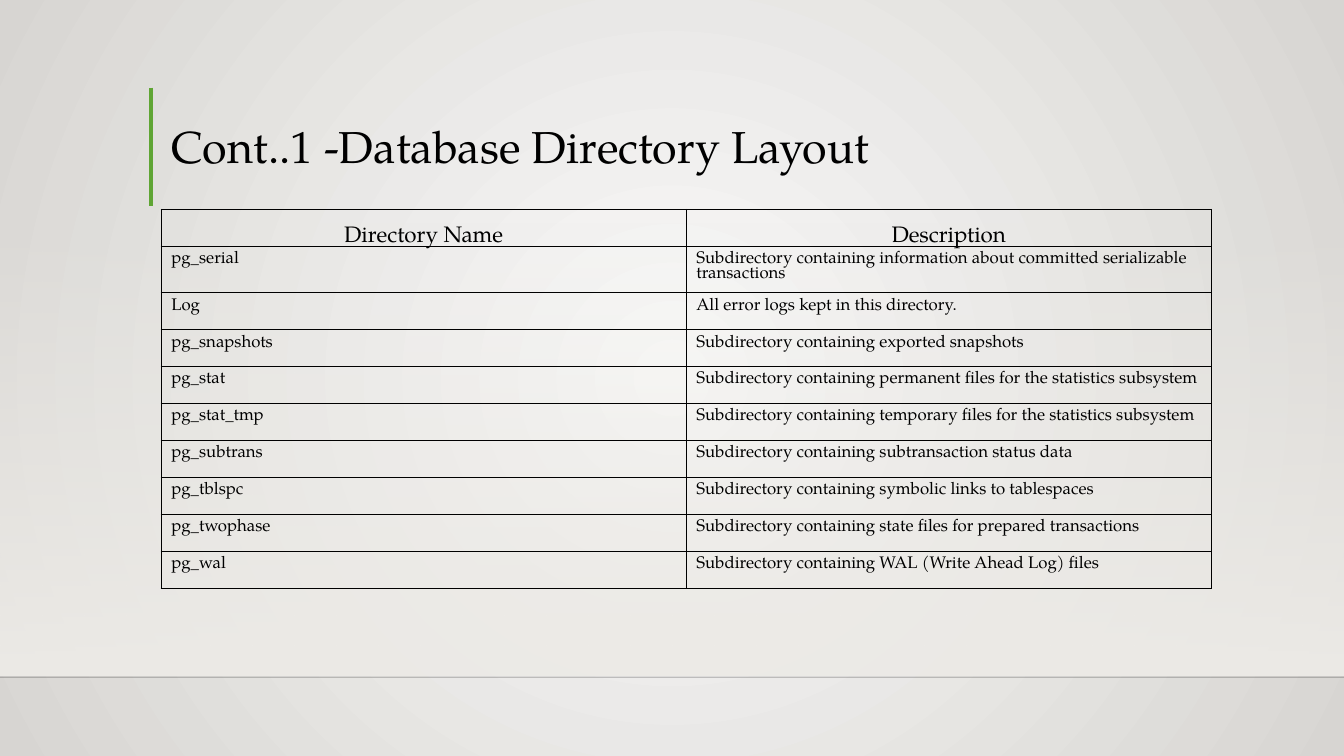
from lxml.etree import SubElement
from pptx import Presentation
from pptx.dml.color import RGBColor
from pptx.enum.shapes import MSO_CONNECTOR as Connector, MSO_SHAPE as Shape
from pptx.enum.text import MSO_ANCHOR as Anchor, PP_ALIGN as Align
from pptx.oxml.ns import qn
from pptx.util import Pt

FONT = "TeX Gyre Pagella"
BLACK = RGBColor(0, 0, 0)
GREEN = RGBColor(0x5F, 0xA5, 0x34)
CENTRE = RGBColor(0xFA, 0xFA, 0xF9)
EDGE = RGBColor(0xD7, 0xD5, 0xD2)
WALL = RGBColor(0xED, 0xEB, 0xE7)
WIDTH, HEIGHT = 960, 540
ROW_HEIGHT, COLUMN_WIDTH = 26.4, 375

HEADINGS = ("Directory Name", "Description")
DIRECTORIES = [
    ("pg_serial", "Subdirectory containing information about committed serializable transactions"),
    ("Log", "All error logs kept in this directory."),
    ("pg_snapshots", "Subdirectory containing exported snapshots"),
    ("pg_stat", "Subdirectory containing permanent files for the statistics subsystem"),
    ("pg_stat_tmp", "Subdirectory containing temporary files for the statistics subsystem"),
    ("pg_subtrans", "Subdirectory containing subtransaction status data"),
    ("pg_tblspc", "Subdirectory containing symbolic links to tablespaces"),
    ("pg_twophase", "Subdirectory containing state files for prepared transactions"),
    ("pg_wal", "Subdirectory containing WAL (Write Ahead Log) files"),
]


def set_gradient(fill, start, end):
    """Give a fill a two-colour gradient."""
    fill.gradient()
    for stop, color in zip(fill.gradient_stops, (start, end)):
        stop.color.rgb = color


def set_alpha(element, percent):
    """Set the opacity of the first RGB colour inside an element."""
    color = next(element.iter(qn("a:srgbClr")))
    SubElement(color, qn("a:alpha"), val=str(percent * 1000))


def paint_background(slide):
    """Paint a circular gradient that is lightest in the middle."""
    set_gradient(slide.background.fill, CENTRE, EDGE)
    gradient = next(slide.background._cSld.iter(qn("a:gradFill")))
    gradient.remove(gradient.find(qn("a:lin")))
    circle = SubElement(gradient, qn("a:path"), path="circle")
    SubElement(circle, qn("a:fillToRect"), l="50000", t="50000", r="50000", b="50000")


def add_wall(slide):
    """Add the band that fades in towards the floor line."""
    wall = slide.shapes.add_shape(Shape.RECTANGLE, 0, Pt(158.4), Pt(WIDTH), Pt(324))
    wall.shadow.inherit = False
    wall.line.fill.background()
    set_gradient(wall.fill, WALL, WALL)
    wall.fill.gradient_angle = 270
    set_alpha(wall._element.spPr, 0)


def add_line(slide, start, end, color, width, opacity=100):
    """Add a straight line without a shadow."""
    line = slide.shapes.add_connector(Connector.STRAIGHT, *map(Pt, start + end))
    line.line.color.rgb = color
    line.line.width = Pt(width)
    if opacity < 100:
        set_alpha(line._element.spPr, opacity)
    SubElement(line._element.spPr, qn("a:effectLst"))


def style_text(paragraph, text, size, align=Align.LEFT):
    """Write a paragraph in the slide's typeface."""
    paragraph.text = text
    paragraph.alignment = align
    paragraph.line_spacing = 0.9
    paragraph.font.name = FONT
    paragraph.font.size = Pt(size)
    paragraph.font.color.rgb = BLACK


def add_title(slide, text):
    """Add the title, resting on the bottom of its box."""
    frame = slide.shapes.add_textbox(Pt(115.2), Pt(44.6), Pt(750), Pt(82.8)).text_frame
    frame.word_wrap = True
    frame.vertical_anchor = Anchor.BOTTOM
    style_text(frame.paragraphs[0], text, 32)


def style_cell(cell):
    """Give a cell black borders and no fill."""
    properties = cell._tc.get_or_add_tcPr()
    for side in ("lnL", "lnR", "lnT", "lnB"):
        border = SubElement(properties, qn(f"a:{side}"), w=str(Pt(1)))
        solid = SubElement(border, qn("a:solidFill"))
        SubElement(solid, qn("a:srgbClr"), val=str(BLACK))
    cell.fill.background()


def add_directory_table(slide):
    """Add the table of directories and their descriptions."""
    rows = [HEADINGS, *DIRECTORIES]
    table = slide.shapes.add_table(
        len(rows), 2, Pt(115.2), Pt(149.6), Pt(2 * COLUMN_WIDTH), Pt(len(rows) * ROW_HEIGHT)
    ).table
    table.first_row = table.horz_banding = False
    for row, texts in zip(table.rows, rows):
        row.height = Pt(ROW_HEIGHT)
        for cell, text in zip(row.cells, texts):
            style_cell(cell)
            paragraph = cell.text_frame.paragraphs[0]
            if texts is HEADINGS:
                cell.vertical_anchor = Anchor.BOTTOM
                cell.margin_left = cell.margin_right = cell.margin_top = Pt(0.7)
                cell.margin_bottom = 0
                style_text(paragraph, text, 16, Align.CENTER)
            else:
                style_text(paragraph, text, 12)


def main():
    """Build and save the slide."""
    presentation = Presentation()
    presentation.slide_width, presentation.slide_height = Pt(WIDTH), Pt(HEIGHT)
    slide = presentation.slides.add_slide(presentation.slide_layouts[6])
    paint_background(slide)
    add_wall(slide)
    add_line(slide, (0, 483.8), (WIDTH, 483.8), BLACK, 1, opacity=20)
    add_line(slide, (108, 62.6), (108, 146.9), GREEN, 3)
    add_title(slide, "Cont..1 -Database Directory Layout")
    add_directory_table(slide)
    presentation.save("out.pptx")


main()
